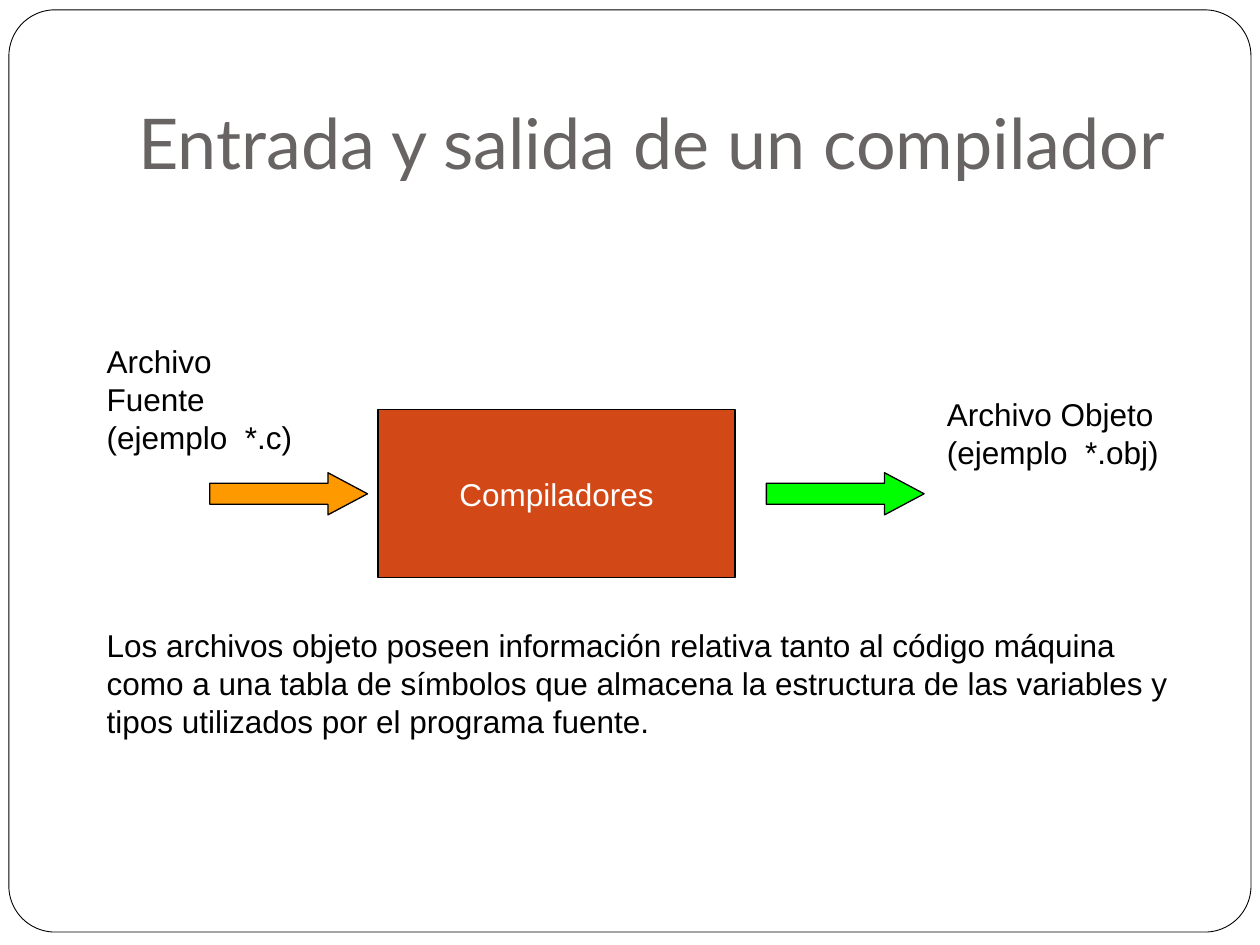
from dataclasses import dataclass

from pptx import Presentation
from pptx import util as u
from pptx.dml import color
from pptx.enum import shapes, text

BLACK, WHITE = "000000", "FFFFFF"


@dataclass(frozen=True)
class Box:
    left: float
    top: float
    width: float
    height: float

    def lengths(self) -> list[u.Cm]:
        return [u.Cm(side) for side in (self.left, self.top, self.width, self.height)]


@dataclass(frozen=True)
class Figure:
    box: Box
    preset: shapes.MSO_SHAPE
    fill: str
    line_width: float = 0.75
    adjustments: tuple[float, ...] = ()


@dataclass(frozen=True)
class Caption:
    box: Box
    lines: tuple[str, ...]
    wrap: bool = True
    size: float = 18
    font: str = "Arial"
    ink: str = BLACK
    align: text.PP_ALIGN = text.PP_ALIGN.LEFT
    anchor: text.MSO_ANCHOR = text.MSO_ANCHOR.TOP
    bottom: float = 0.13


def paint(target, hex_value: str) -> None:
    target.rgb = color.RGBColor.from_string(hex_value)


def apply(target, values: dict) -> None:
    for name, value in values.items():
        setattr(target, name, value)


def write(frame, caption: Caption) -> None:
    apply(frame, {
        "word_wrap": caption.wrap,
        "vertical_anchor": caption.anchor,
        "margin_left": u.Cm(0.25),
        "margin_right": u.Cm(0.25),
        "margin_top": u.Cm(0.13),
        "margin_bottom": u.Cm(caption.bottom),
    })
    for index, line in enumerate(caption.lines):
        paragraph = frame.add_paragraph() if index else frame.paragraphs[0]
        paragraph.alignment = caption.align
        run = paragraph.add_run()
        run.text = line
        apply(run.font, {"name": caption.font, "size": u.Pt(caption.size)})
        paint(run.font.color, caption.ink)


def draw_figure(slide, figure: Figure):
    shape = slide.shapes.add_shape(figure.preset, *figure.box.lengths())
    shape.shadow.inherit = False
    shape.fill.solid()
    paint(shape.fill.fore_color, figure.fill)
    paint(shape.line.color, BLACK)
    shape.line.width = u.Pt(figure.line_width)
    for index, value in enumerate(figure.adjustments):
        shape.adjustments[index] = value
    return shape


def draw_caption(slide, caption: Caption) -> None:
    write(slide.shapes.add_textbox(*caption.box.lengths()).text_frame, caption)


def flow_arrow(left: float, fill: str) -> Figure:
    return Figure(Box(left, 9.53, 3.18, 0.85), shapes.MSO_SHAPE.RIGHT_ARROW, fill,
                  adjustments=(0.5, 0.94))


FRAME = Figure(Box(0.18, 0.2, 25.04, 18.59), shapes.MSO_SHAPE.ROUNDED_RECTANGLE,
               WHITE, 0.5, (0.05,))
TITLE = Caption(Box(2.54, 0.76, 21.59, 3.18), ("Entrada y salida de un compilador",),
                size=40, font="Lato", ink="696464",
                anchor=text.MSO_ANCHOR.BOTTOM, bottom=0.25)
COMPILER = Figure(Box(7.62, 8.26, 7.2, 3.39), shapes.MSO_SHAPE.RECTANGLE, "D34817")
COMPILER_NAME = Caption(COMPILER.box, ("Compiladores",), wrap=False, ink=WHITE,
                        align=text.PP_ALIGN.CENTER, anchor=text.MSO_ANCHOR.MIDDLE)
ARROWS = (flow_arrow(4.23, "FF9900"), flow_arrow(15.45, "00FF00"))
CAPTIONS = (
    Caption(Box(18.84, 7.83, 5.08, 1.78), ("Archivo Objeto", "(ejemplo  *.obj)")),
    Caption(Box(1.9, 6.77, 4.5, 2.54), ("Archivo Fuente", "(ejemplo  *.c)")),
    Caption(Box(1.9, 12.49, 21.9, 2.54), (
        "Los archivos objeto poseen información relativa tanto al código máquina",
        "como a una tabla de símbolos que almacena la estructura de las variables y",
        "tipos utilizados por el programa fuente.",
    ), wrap=False),
)


def main() -> None:
    deck = Presentation()
    apply(deck, {"slide_width": u.Cm(25.4), "slide_height": u.Cm(19.05)})
    slide = deck.slides.add_slide(deck.slide_layouts[6])
    draw_figure(slide, FRAME)
    draw_caption(slide, TITLE)
    write(draw_figure(slide, COMPILER).text_frame, COMPILER_NAME)
    for arrow in ARROWS:
        draw_figure(slide, arrow)
    for caption in CAPTIONS:
        draw_caption(slide, caption)
    deck.save("out.pptx")


if __name__ == "__main__":
    main()
